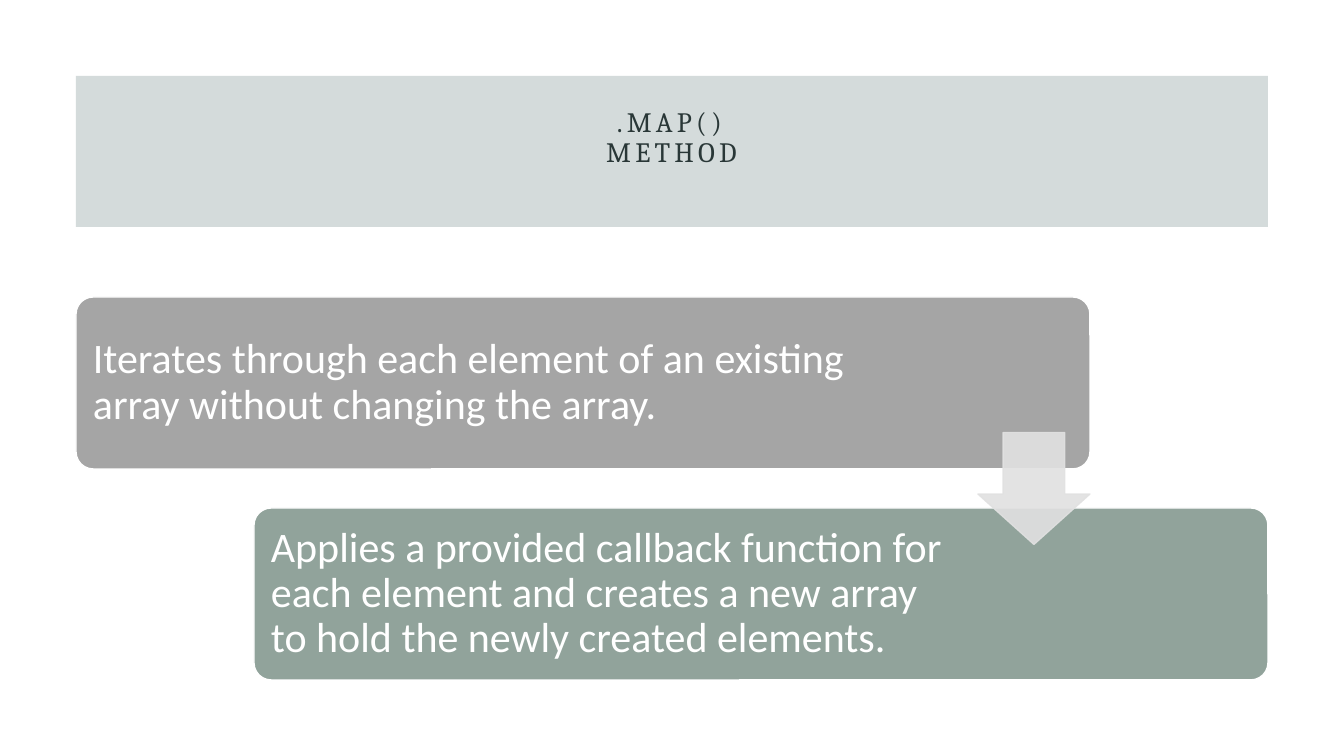
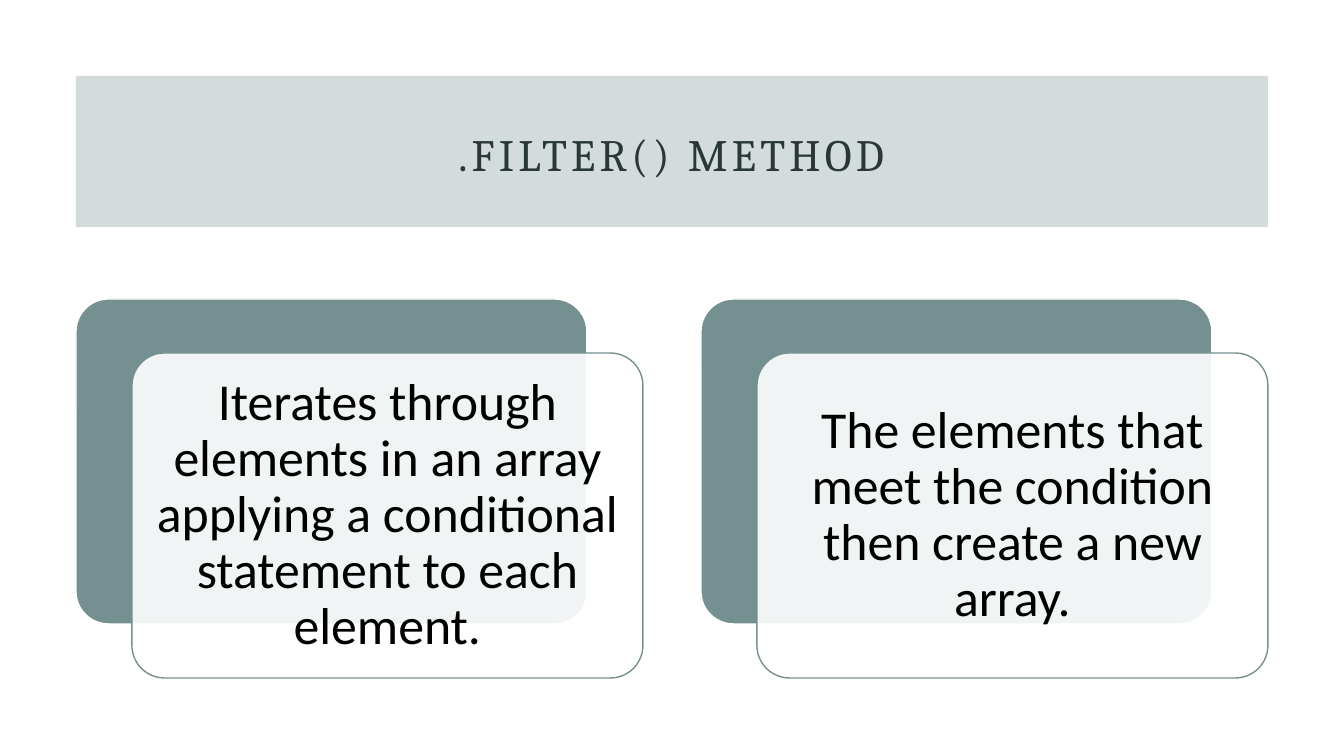
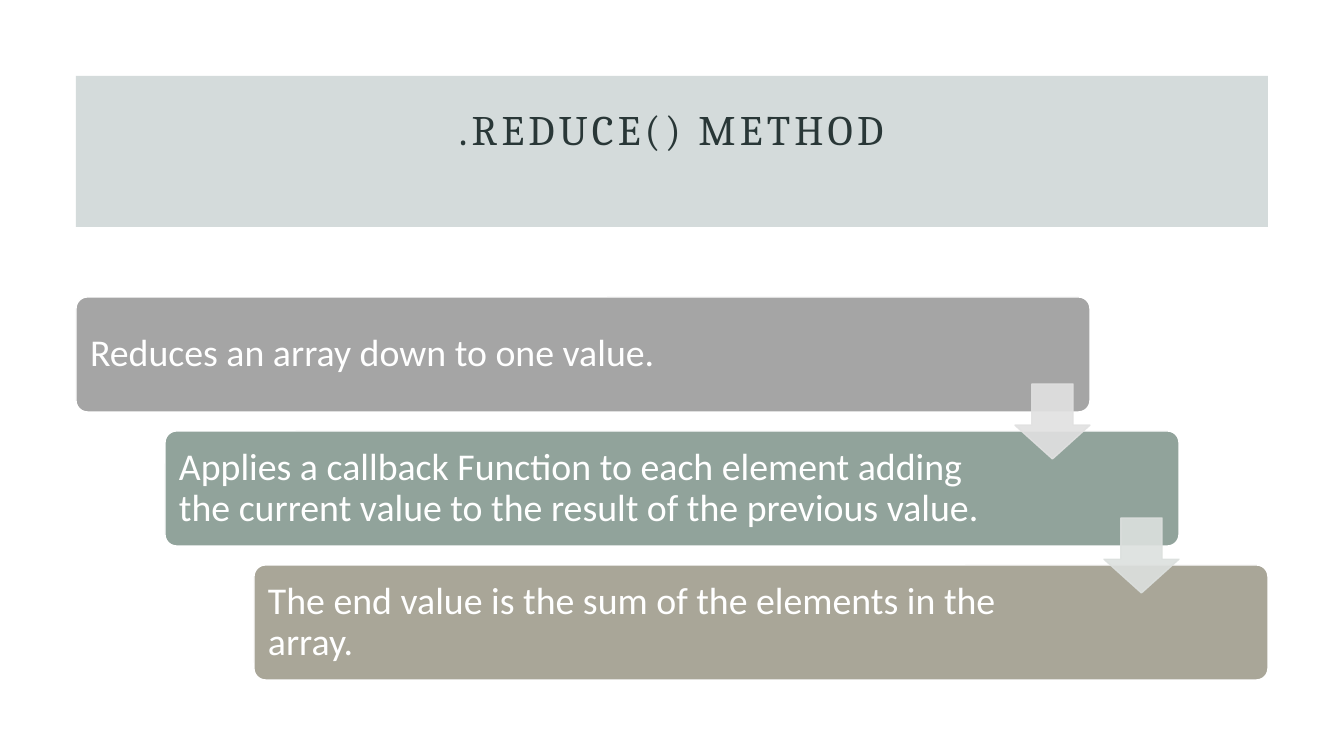
from pptx import Presentation
from pptx.dml.color import RGBColor
from pptx.enum.shapes import MSO_SHAPE
from pptx.enum.text import MSO_ANCHOR, PP_ALIGN
from pptx.oxml.ns import qn
from pptx.util import Pt
from lxml import etree

COLORS = {
    "white": "FFFFFF", "black": "000000", "band": "557272", "title": "293737",
    "gray": "A5A5A5", "sage": "91A39B", "khaki": "A9A698", "teal": "749090",
    "gray_arrow": "E1E1E1", "sage_arrow": "DCE0DE",
}
STEP_COLORS = ["gray", "sage", "khaki"]
ARROW_COLORS = ["gray_arrow", "sage_arrow"]
TITLE_FONT, BODY_FONT = "Cambria", "Calibri"
EMU_PER_PIXEL = 914400 / 100.8
LEFT, RIGHT = 76, 1268


def px(pixels):
    """Turn pixels into EMU."""
    return round(pixels * EMU_PER_PIXEL)


def rgb(name):
    """Look up a colour of the palette."""
    return RGBColor.from_string(COLORS[name])


class Deck:
    """Holds the presentation, its shared style and the current slide."""

    def __init__(self):
        """Start an empty widescreen presentation."""
        self.prs = Presentation()
        self.prs.slide_width, self.prs.slide_height = px(1344), px(756)
        self.slide = None

    def new_slide(self, title, size, room_below=0):
        """Add a slide with the title band; room_below lifts the title."""
        self.slide = self.prs.slides.add_slide(self.prs.slide_layouts[6])
        self.shape(MSO_SHAPE.RECTANGLE, LEFT, 76, RIGHT - LEFT, 151, "band", opacity=25)
        self.text(title, 154, 105, 1035, 103, size, "title", font=TITLE_FONT,
                  align=PP_ALIGN.CENTER, margins=(10, 0, 10, room_below), spacing=3)

    def shape(self, kind, x, y, w, h, fill, line=None, opacity=100,
              line_opacity=100, adjustments=()):
        """Draw a preset shape."""
        shape = self.slide.shapes.add_shape(kind, px(x), px(y), px(w), px(h))
        shape.shadow.inherit = False
        shape.fill.solid()
        shape.fill.fore_color.rgb = rgb(fill)
        if line:
            shape.line.color.rgb = rgb(line)
            shape.line.width = Pt(1)
        else:
            shape.line.fill.background()
        for i, value in enumerate(adjustments):
            shape.adjustments[i] = value
        for path, percent in (("./a:solidFill/a:srgbClr", opacity),
                              ("./a:ln/a:solidFill/a:srgbClr", line_opacity)):
            if percent < 100:
                for color in shape.element.spPr.xpath(path):
                    etree.SubElement(color, qn("a:alpha")).set("val", str(percent * 1000))

    def card(self, x, y, w, h, fill, line="white", opacity=100):
        """Draw a rounded card."""
        self.shape(MSO_SHAPE.ROUNDED_RECTANGLE, x, y, w, h, fill, line, opacity,
                   adjustments=[0.1])

    def arrow(self, x, y, size, color):
        """Draw a translucent arrow pointing down."""
        self.shape(MSO_SHAPE.DOWN_ARROW, x, y, size, size, color, color, 90, 90,
                   adjustments=[0.55, 0.45])

    def text(self, words, x, y, w, h, size, color, margins, font=BODY_FONT,
             align=PP_ALIGN.LEFT, spacing=0):
        """Write vertically centred text; margins run left, top, right, bottom."""
        frame = self.slide.shapes.add_textbox(px(x), px(y), px(w), px(h)).text_frame
        frame.word_wrap = True
        frame.vertical_anchor = MSO_ANCHOR.MIDDLE
        (frame.margin_left, frame.margin_top,
         frame.margin_right, frame.margin_bottom) = map(px, margins)
        paragraph = frame.paragraphs[0]
        paragraph.text = words
        paragraph.alignment = align
        paragraph.line_spacing = 0.9
        for run in paragraph.runs:
            run.font.name, run.font.size = font, Pt(size)
            run.font.color.rgb = rgb(color)
            if spacing:
                run.font._element.set("spc", str(spacing * 100))

    def staircase(self, steps, height, size, margin):
        """Lay out (words, text width) steps down to the right, joined by arrows."""
        top, bottom, width = 297, 680, 1014
        gaps = len(steps) - 1
        across = (RIGHT - LEFT - width) / gaps
        down = (bottom - top - height) / gaps
        pad = round(height * 0.03)
        for i, (words, text_width) in enumerate(steps):
            x, y = LEFT + i * across, top + i * down
            self.card(x, y, width, height, STEP_COLORS[i])
            self.text(words, x + pad, y + pad, text_width, height - 2 * pad, size,
                      "white", [margin] * 4)
        arrow = round(height * 0.65)
        for i in range(gaps):
            gap_middle = top + i * down + (height + down) / 2
            self.arrow(LEFT + i * across + width - arrow, gap_middle - arrow / 2,
                       arrow, ARROW_COLORS[i])

    def layered_cards(self, statements):
        """Lay out pairs of overlapping cards side by side."""
        top, width, height, pitch, pad = 299, 511, 325, 625, 10
        for i, words in enumerate(statements):
            x = LEFT + i * pitch
            front_x, front_y = x + 56, top + 54
            self.card(x, top, width, height, "teal")
            self.card(front_x, front_y, width, height, "white", "teal", 90)
            self.text(words, front_x + pad, front_y + pad, width - 2 * pad,
                      height - 2 * pad, 37, "black", [15] * 4, align=PP_ALIGN.CENTER)


deck = Deck()

deck.new_slide(".MAP()\vMETHOD", 20, room_below=36)
deck.staircase([
    ("Iterates through each element of an existing array without changing the array.", 836),
    ("Applies a provided callback function for each element and creates a new array "
     "to hold the newly created elements.", 713),
], height=172, size=30, margin=12)

deck.new_slide(".FILTER() METHOD", 32)
deck.layered_cards([
    "Iterates through elements in an array applying a conditional statement to each element.",
    "The elements that meet the condition then create a new array.",
])

deck.new_slide(".REDUCE() METHOD", 30, room_below=50)
deck.staircase([
    ("Reduces an array down to one value.", 890),
    ("Applies a callback Function to each element adding the current value to the "
     "result of the previous value.", 843),
    ("The end value is the sum of the elements in the array.", 843),
], height=115, size=27, margin=11)

deck.prs.save("out.pptx")
